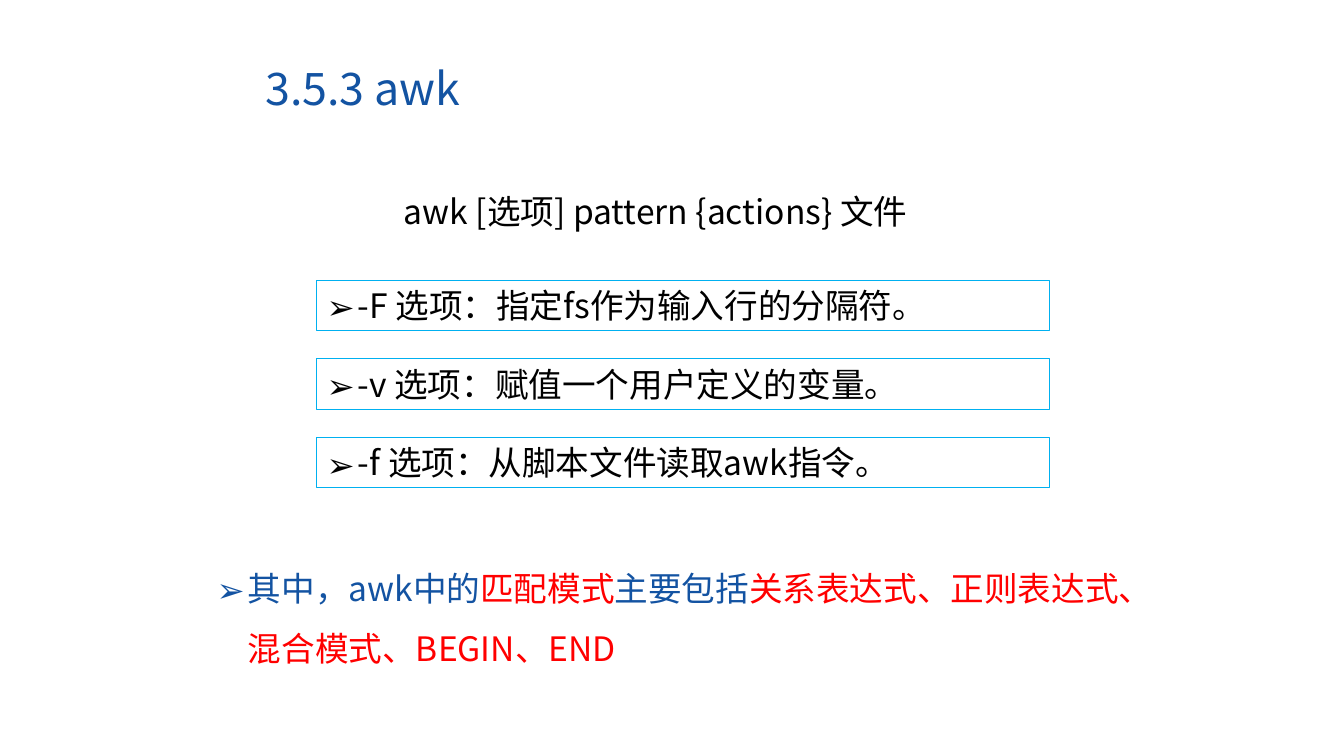
"""Build a slide on the awk command syntax, its options and its pattern kinds."""
import dataclasses

import lxml.etree
import pptx
import pptx.dml.color
import pptx.enum.shapes
import pptx.enum.text
import pptx.oxml.ns
import pptx.util

Cm = pptx.util.Cm
FONT = "Noto Sans CJK SC"
BLUE, RED, BLACK, CYAN = "1353A2", "FF0000", "000000", "00B0F0"
OPTION_LEFT, OPTION_TOP, OPTION_PITCH = 7.98, 7.06, 1.98


@dataclasses.dataclass(frozen=True)
class Area:
    left: float
    top: float
    width: float
    height: float

    def lengths(self) -> tuple:
        return Cm(self.left), Cm(self.top), Cm(self.width), Cm(self.height)


@dataclasses.dataclass(frozen=True)
class Span:
    text: str
    color: str = BLACK


def rgb(value: str) -> pptx.dml.color.RGBColor:
    return pptx.dml.color.RGBColor.from_string(value)


def add_bullet(para) -> None:
    properties = para._p.get_or_add_pPr()
    properties.set("marL", str(Cm(0.79)))
    properties.set("indent", str(-Cm(0.79)))
    tag = pptx.oxml.ns.qn
    lxml.etree.SubElement(properties, tag("a:buFont"), typeface=FONT)
    lxml.etree.SubElement(properties, tag("a:buChar"), char="➢")


def write_text(box, spans: list[Span], *, size: float = 24, bullet: bool = False,
               spacing: float = 1.0, anchor=pptx.enum.text.MSO_ANCHOR.TOP) -> None:
    frame = box.text_frame
    frame.word_wrap = True
    frame.vertical_anchor = anchor
    para = frame.paragraphs[0]
    if bullet:
        add_bullet(para)
    para.alignment = pptx.enum.text.PP_ALIGN.LEFT
    para.line_spacing = spacing
    for span in spans:
        run = para.add_run()
        run.text = span.text
        run.font.size = pptx.util.Pt(size)
        run.font.color.rgb = rgb(span.color)
        run.font.name = FONT
        lxml.etree.SubElement(run.font._element, pptx.oxml.ns.qn("a:ea"), typeface=FONT)


def add_title(page, text: str, area: Area) -> None:
    title = page.shapes.title
    title.left, title.top, title.width, title.height = area.lengths()
    write_text(title, [Span(text, BLUE)], size=32, anchor=pptx.enum.text.MSO_ANCHOR.MIDDLE)


def add_option(page, text: str, area: Area) -> None:
    box = page.shapes.add_shape(pptx.enum.shapes.MSO_SHAPE.RECTANGLE, *area.lengths())
    box.shadow.inherit = False
    box.fill.background()
    box.line.color.rgb = rgb(CYAN)
    box.line.width = pptx.util.Pt(0.75)
    write_text(box, [Span(text)], bullet=True, anchor=pptx.enum.text.MSO_ANCHOR.MIDDLE)


def add_text(page, spans: list[Span], area: Area, *, bullet: bool = False) -> None:
    box = page.shapes.add_textbox(*area.lengths())
    write_text(box, spans, bullet=bullet, spacing=1.5)


def main() -> None:
    deck = pptx.Presentation()
    deck.slide_width, deck.slide_height = Cm(33.87), Cm(19.05)
    page = deck.slides.add_slide(deck.slide_layouts[5])

    add_title(page, "3.5.3 awk", Area(6.43, 1.4, 14.4, 1.63))
    options = [
        "-F 选项：指定fs作为输入行的分隔符。",
        "-v 选项：赋值一个用户定义的变量。",
        "-f 选项：从脚本文件读取awk指令。",
    ]
    for index, option in enumerate(options):
        top = OPTION_TOP + index * OPTION_PITCH
        add_option(page, option, Area(OPTION_LEFT, top, 18.47, 1.27))

    add_text(page, [Span("awk [选项] pattern {actions} 文件")], Area(9.93, 4.19, 14.02, 2.13))
    patterns = [
        Span("其中，awk中的", BLUE),
        Span("匹配模式", RED),
        Span("主要包括", BLUE),
        Span("关系表达式、正则表达式、混合模式、BEGIN、END", RED),
    ]
    add_text(page, patterns, Area(5.21, 13.67, 23.44, 3.15), bullet=True)
    deck.save("out.pptx")


if __name__ == "__main__":
    main()
